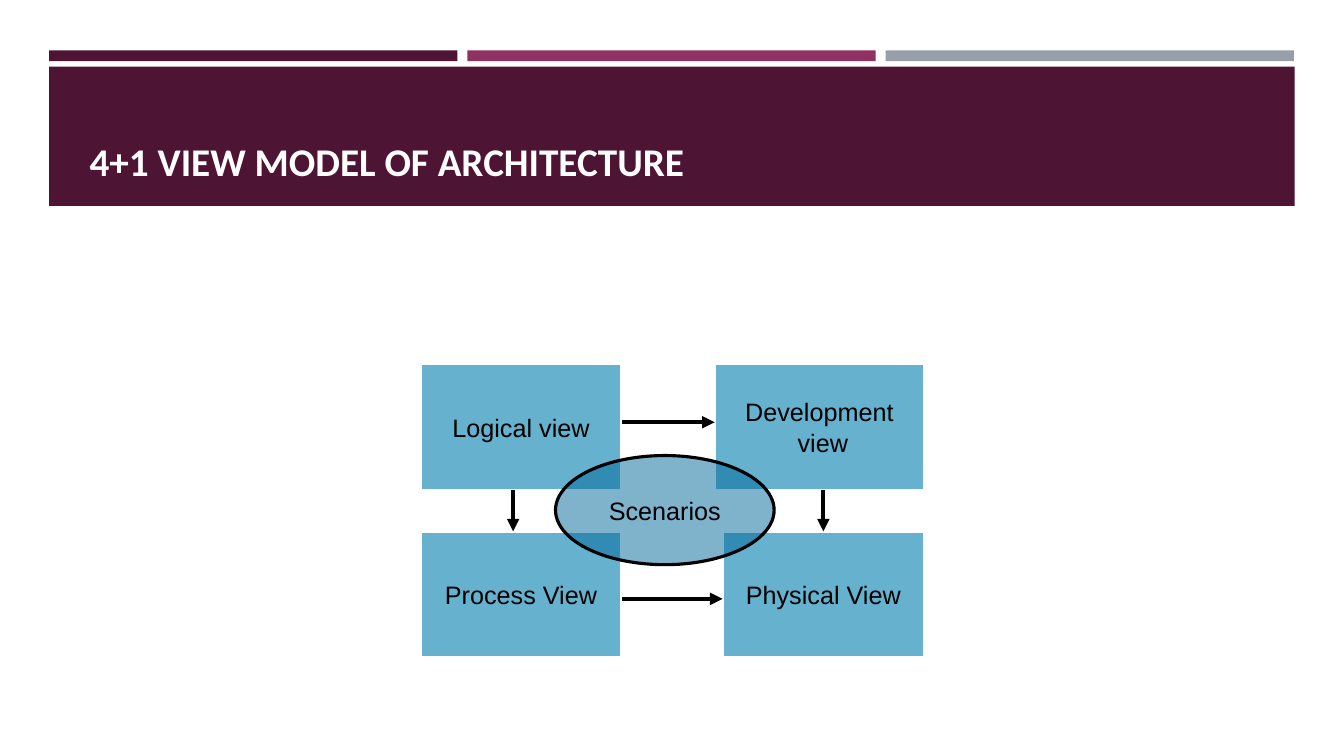
"""Build the 4+1 view model slide."""
import dataclasses
import typing

import pptx
import pptx.dml.color
import pptx.enum.shapes
import pptx.enum.text
import pptx.oxml.ns
import pptx.util
from lxml import etree

Cm = pptx.util.Cm
Pt = pptx.util.Pt
Kind = pptx.enum.shapes.MSO_SHAPE
Align = pptx.enum.text.PP_ALIGN
Anchor = pptx.enum.text.MSO_ANCHOR
qn = pptx.oxml.ns.qn


@dataclasses.dataclass(frozen=True)
class Theme:
    plum: str = "4D1434"
    rose: str = "903163"
    grey: str = "969FA7"
    sky: str = "66B1CE"
    blue: str = "006699"
    black: str = "000000"
    white: str = "FFFFFF"
    head: str = "Calibri"
    body: str = "Arial"
    large: float = 28
    small: float = 18
    edge: float = 2
    rim: float = 2.25
    stroke: float = 3


@dataclasses.dataclass(frozen=True)
class Block:
    left: float
    top: float
    width: float
    height: float
    fill: str
    text: str = ""
    kind: typing.Any = Kind.RECTANGLE
    line: str = ""
    weight: float = 0
    alpha: int = 100


@dataclasses.dataclass(frozen=True)
class Arrow:
    x1: float
    y1: float
    x2: float
    y2: float


look = Theme()


def color(code: str) -> pptx.dml.color.RGBColor:
    """Turn a hex code into a colour."""
    return pptx.dml.color.RGBColor.from_string(code)


def assign(item: typing.Any, values: dict[str, typing.Any]) -> None:
    """Set each format value on the item."""
    for name, value in values.items():
        setattr(item, name, value)


def write(frame: typing.Any, text: str, layout: dict[str, typing.Any],
          align: typing.Any, font: dict[str, typing.Any], tint: str) -> None:
    """Fill a text frame with one formatted paragraph."""
    frame.text = text
    assign(frame, layout)
    para = frame.paragraphs[0]
    para.alignment = align
    for run in para.runs:
        assign(run.font, font)
        run.font.color.rgb = color(tint)


def draw_block(slide: typing.Any, block: Block) -> None:
    """Draw a filled shape with its outline and label."""
    shape = slide.shapes.add_shape(block.kind, Cm(block.left), Cm(block.top),
                                   Cm(block.width), Cm(block.height))
    shape.shadow.inherit = False
    shape.fill.solid()
    shape.fill.fore_color.rgb = color(block.fill)
    if block.alpha < 100:
        tint = shape._element.spPr.find(qn("a:solidFill")).find(qn("a:srgbClr"))
        etree.SubElement(tint, qn("a:alpha"), val=str(block.alpha * 1000))
    if block.line:
        shape.line.color.rgb = color(block.line)
        shape.line.width = Pt(block.weight)
    else:
        shape.line.fill.background()
    if block.text:
        write(shape.text_frame, block.text,
              {"word_wrap": False, "vertical_anchor": Anchor.MIDDLE},
              Align.CENTER, {"name": look.body, "size": Pt(look.small)},
              look.black)


def draw_arrow(slide: typing.Any, arrow: Arrow) -> None:
    """Draw a straight line with a triangle at its end."""
    link = slide.shapes.add_connector(
        pptx.enum.shapes.MSO_CONNECTOR.STRAIGHT,
        Cm(arrow.x1), Cm(arrow.y1), Cm(arrow.x2), Cm(arrow.y2))
    link.line.color.rgb = color(look.black)
    link.line.width = Pt(look.stroke)
    props = link._element.spPr
    etree.SubElement(props.find(qn("a:ln")), qn("a:tailEnd"), type="triangle")
    etree.SubElement(props, qn("a:effectLst"))


def draw_title(slide: typing.Any, text: str) -> None:
    """Write the title inside the band."""
    box = slide.shapes.add_textbox(Cm(2.01), Cm(2.34), Cm(23.95), Cm(2.44))
    write(box.text_frame, text,
          {"word_wrap": True, "vertical_anchor": Anchor.BOTTOM}, Align.LEFT,
          {"name": look.head, "size": Pt(look.large), "bold": True}, look.white)


def main() -> None:
    """Build and save the slide."""
    deck = pptx.Presentation()
    assign(deck, {"slide_width": Cm(33.87), "slide_height": Cm(19.05)})
    slide = deck.slides.add_slide(deck.slide_layouts[6])

    edge, step = 1.24, 10.54
    bars = [Block(edge + i * step, 1.27, 10.29, 0.27, fill)
            for i, fill in enumerate((look.plum, look.rose, look.grey))]
    band = Block(edge, 1.68, 31.39, 3.51, look.plum)

    left, right, wide, width, height = 10.59, 18.21, 18.01, 5.08, 3.18
    upper, lower, end = 9.17, 13.39, right + width
    views = [Block(x, y, w, height, look.sky, text,
                   line=look.white, weight=look.edge)
             for x, y, w, text in (
                 (left, upper, width, "Logical view"),
                 (wide, upper, end - wide, "Development\v view"),
                 (left, lower, width, "Process View"),
                 (right, lower, width, "Physical View"))]
    core = Block(14, 11.48, 5.51, 2.75, look.blue, "Scenarios", Kind.OVAL,
                 look.black, look.rim, 50)
    for block in (*bars, band, *views, core):
        draw_block(slide, block)
    draw_title(slide, "4+1 VIEW MODEL OF ARCHITECTURE")

    across = [Arrow(left + width, y, x, y)
              for x, y in ((wide, 10.64), (right, 15.09))]
    down = [Arrow(x, upper + height, x, lower) for x in (12.93, 20.75)]
    for arrow in across + down:
        draw_arrow(slide, arrow)
    deck.save("out.pptx")


main()
